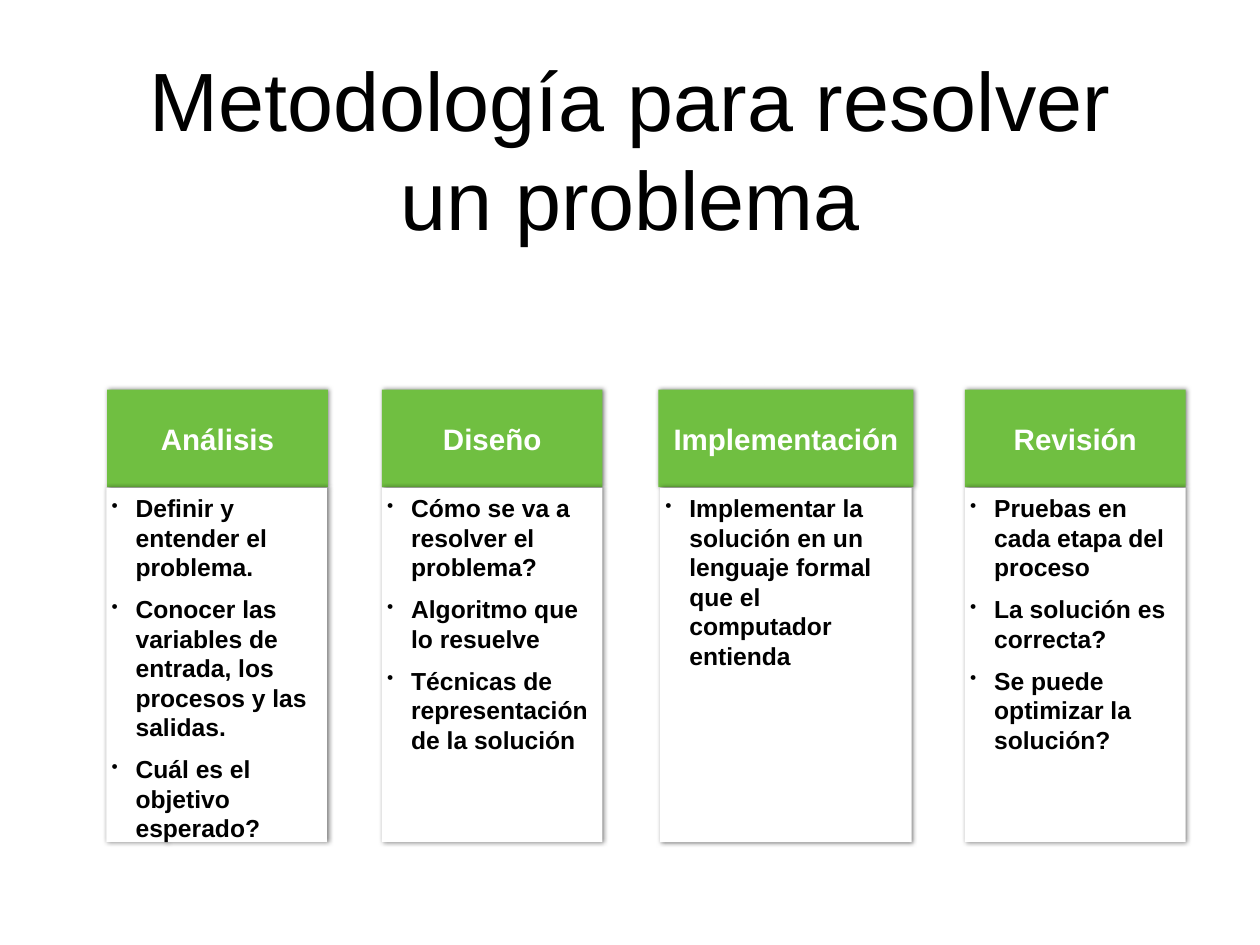
from lxml.etree import SubElement
from pptx import Presentation
from pptx.dml.color import RGBColor
from pptx.enum.shapes import MSO_SHAPE
from pptx.enum.text import MSO_ANCHOR, MSO_AUTO_SIZE, PP_ALIGN
from pptx.oxml.ns import qn
from pptx.util import Inches, Pt

GREEN, WHITE, BLACK = "70BF41", "FFFFFF", "000000"
HEADER_TOP, HEADER_HEIGHT = 4.4, 1.1
BODY_TOP, BODY_HEIGHT = 5.51, 4
STAGES = [
    ("Análisis", 1.21, 2.49, 1.2, 2.49, [
        "Definir y entender el problema.",
        "Conocer las variables de entrada, los procesos y las salidas.",
        "Cuál es el objetivo esperado?"]),
    ("Diseño", 4.31, 2.49, 4.31, 2.49, [
        "Cómo se va a resolver el problema?",
        "Algoritmo que lo resuelve",
        "Técnicas de representación de la solución"]),
    ("Implementación", 7.43, 2.88, 7.45, 2.84, [
        "Implementar la solución en un lenguaje formal que el computador entienda"]),
    ("Revisión", 10.89, 2.49, 10.89, 2.49, [
        "Pruebas en cada etapa del proceso",
        "La solución es correcta?",
        "Se puede optimizar la solución?"]),
]


def color(value):
    return RGBColor.from_string(value)


def add_bullet(para):
    properties = para._p.get_or_add_pPr()
    properties.set("marL", str(Inches(0.27)))
    properties.set("indent", str(Inches(-0.27)))
    SubElement(properties, qn("a:buSzPct"), val="75000")
    SubElement(properties, qn("a:buChar"), char="•")


def write(box, lines, size, ink=BLACK, bold=False, align=PP_ALIGN.CENTER,
          anchor=MSO_ANCHOR.MIDDLE, bullets=False):
    """Fill the text frame of a box with one paragraph per line."""
    frame = box.text_frame
    frame.word_wrap = True
    frame.auto_size = MSO_AUTO_SIZE.NONE
    frame.vertical_anchor = anchor
    frame.margin_left = frame.margin_right = Inches(0.06)
    frame.margin_top = frame.margin_bottom = Inches(0.06)
    for index, line in enumerate(lines):
        para = frame.add_paragraph() if index else frame.paragraphs[0]
        para.alignment = align
        para.line_spacing = 1.0
        para.space_before = Pt(10 if bullets else 0)
        if bullets:
            add_bullet(para)
        span = para.add_run()
        span.text = line
        span.font.name = "Arial"
        span.font.size = Pt(size)
        span.font.bold = bold
        span.font.color.rgb = color(ink)


def add_shadow(box):
    effects = SubElement(box._element.spPr, qn("a:effectLst"))
    shadow = SubElement(effects, qn("a:outerShdw"), blurRad=str(Pt(4)),
                        dist=str(Pt(1)), dir="0", rotWithShape="0")
    tint = SubElement(shadow, qn("a:srgbClr"), val=BLACK)
    SubElement(tint, qn("a:alpha"), val="50000")


def add_card(page, left, top, width, height, fill):
    box = page.shapes.add_shape(MSO_SHAPE.RECTANGLE, Inches(left), Inches(top),
                                Inches(width), Inches(height))
    box.fill.solid()
    box.fill.fore_color.rgb = color(fill)
    box.line.fill.background()
    add_shadow(box)
    return box


def add_title(page, text):
    title = page.shapes.title
    title.left, title.top = Inches(1.04), Inches(0.49)
    title.width, title.height = Inches(12.14), Inches(2.36)
    write(title, [text], 67.2)


def main():
    deck = Presentation()
    deck.slide_width, deck.slide_height = Inches(14.22), Inches(10.67)
    page = deck.slides.add_slide(deck.slide_layouts[5])
    add_title(page, "Metodología para resolver un problema")
    for name, left, width, _, _, _ in STAGES:
        header = add_card(page, left, HEADER_TOP, width, HEADER_HEIGHT, GREEN)
        write(header, [name], 24, ink=WHITE, bold=True)
    for _, _, _, left, width, points in STAGES:
        body = add_card(page, left, BODY_TOP, width, BODY_HEIGHT, WHITE)
        write(body, points, 20, bold=True, align=PP_ALIGN.LEFT,
              anchor=MSO_ANCHOR.TOP, bullets=True)
    deck.save("out.pptx")


if __name__ == "__main__":
    main()
